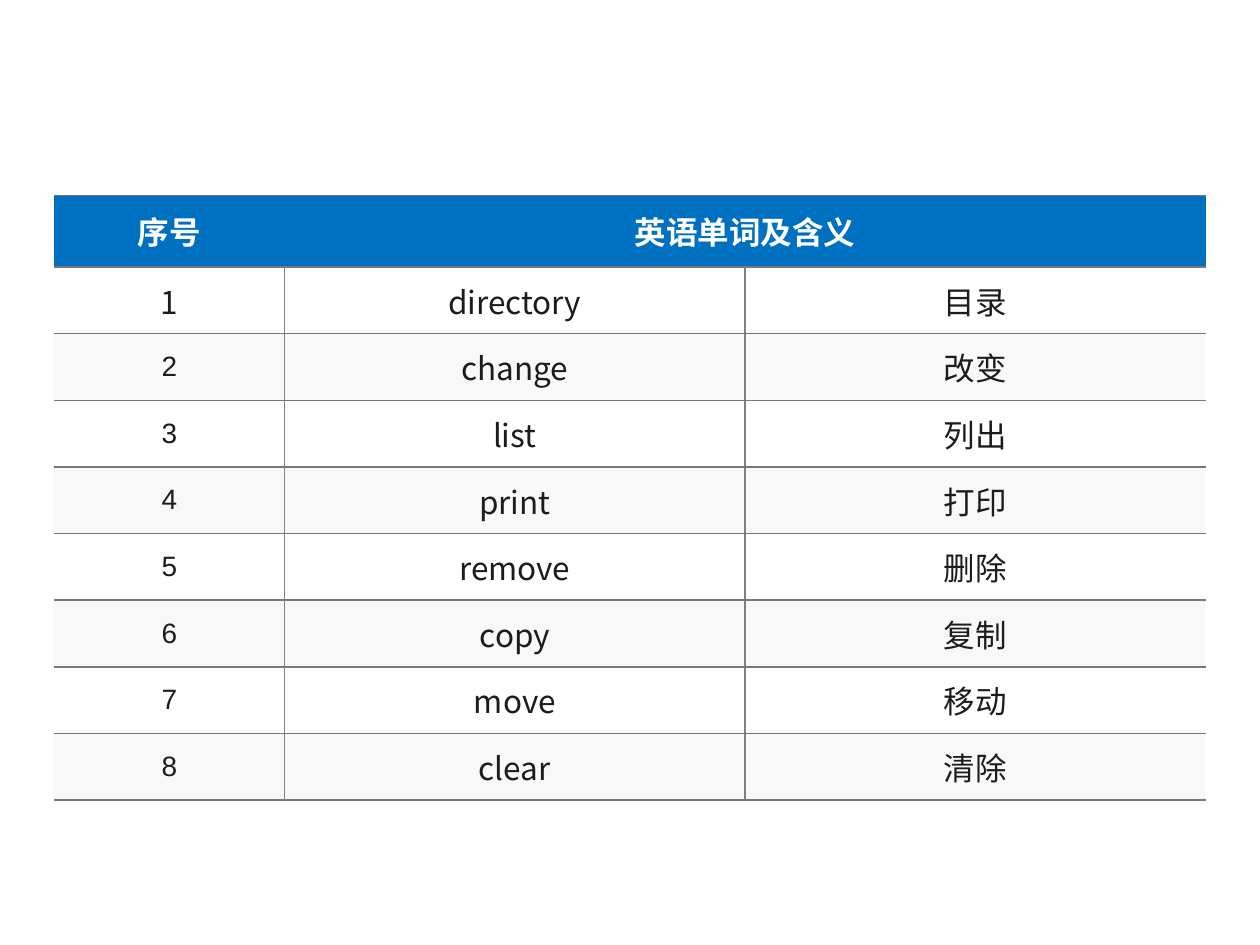
from lxml.etree import SubElement
from pptx import Presentation
from pptx.dml.color import RGBColor
from pptx.enum.text import MSO_ANCHOR, PP_ALIGN
from pptx.oxml.ns import qn
from pptx.util import Inches, Pt

HEADER_BLUE = RGBColor(0x00, 0x70, 0xC0)
WHITE = RGBColor(0xFF, 0xFF, 0xFF)
BAND_GRAY = RGBColor(0xF8, 0xF8, 0xF8)
TEXT_DARK = RGBColor(0x1C, 0x1C, 0x1C)
ROW_LINE = RGBColor(0x77, 0x77, 0x77)
COLUMN_LINE = RGBColor(0x80, 0x80, 0x80)

LATIN_FONT = "Arial"
CHINESE_FONT = "Noto Sans CJK SC"

HEADINGS = ["序号", "英语单词及含义"]
WORDS = [
    ("directory", "目录"),
    ("change", "改变"),
    ("list", "列出"),
    ("print", "打印"),
    ("remove", "删除"),
    ("copy", "复制"),
    ("move", "移动"),
    ("clear", "清除"),
]


def write_text(cell, text, font=LATIN_FONT, size=18, color=TEXT_DARK, bold=False):
    cell.vertical_anchor = MSO_ANCHOR.MIDDLE
    paragraph = cell.text_frame.paragraphs[0]
    paragraph.alignment = PP_ALIGN.CENTER
    run = paragraph.add_run()
    run.text = text
    run.font.name = font
    run.font.size = Pt(size)
    run.font.bold = bold
    run.font.color.rgb = color
    SubElement(run._r.get_or_add_rPr(), qn("a:ea"), typeface=CHINESE_FONT)


def set_borders(cell, left=None, right=None):
    """Rule the cell above and below; a side without a colour stays open."""
    properties = cell._tc.get_or_add_tcPr()
    sides = {"lnL": left, "lnR": right, "lnT": ROW_LINE, "lnB": ROW_LINE}
    for tag, color in sides.items():
        line = SubElement(properties, qn(f"a:{tag}"), w=str(Pt(1)))
        if color is None:
            SubElement(line, qn("a:noFill"))
        else:
            fill = SubElement(line, qn("a:solidFill"))
            SubElement(fill, qn("a:srgbClr"), val=str(color))


def fill_cell(cell, color):
    cell.fill.solid()
    cell.fill.fore_color.rgb = color


def add_word_table(slide, left, top, width, height):
    shape = slide.shapes.add_table(len(WORDS) + 1, 3, left, top, width, height)
    table = shape.table

    # Column widths 1 : 2 : 2, with a slightly taller header row
    for column, share in zip(table.columns, (1, 2, 2)):
        column.width = int(width * share / 5)
    header_height = Inches(0.57)
    for row in table.rows:
        row.height = int((height - header_height) / len(WORDS))
    table.rows[0].height = header_height

    # Header
    for cell in table.rows[0].cells:
        set_borders(cell)
        fill_cell(cell, HEADER_BLUE)
    table.cell(0, 1).merge(table.cell(0, 2))
    for column, heading in enumerate(HEADINGS):
        write_text(table.cell(0, column), heading, color=WHITE, bold=True)

    # Numbered words with alternating bands
    for number, (word, meaning) in enumerate(WORDS, start=1):
        number_cell, word_cell, meaning_cell = table.rows[number].cells
        set_borders(number_cell, right=COLUMN_LINE)
        set_borders(word_cell, left=COLUMN_LINE, right=COLUMN_LINE)
        set_borders(meaning_cell, left=COLUMN_LINE)
        for cell in (number_cell, word_cell, meaning_cell):
            fill_cell(cell, WHITE if number % 2 else BAND_GRAY)

        if number == 1:
            write_text(number_cell, str(number), font=CHINESE_FONT)
        else:
            write_text(number_cell, str(number), size=16)
        write_text(word_cell, word, font=CHINESE_FONT)
        word_cell.margin_left = word_cell.margin_right = Inches(0.07)
        word_cell.margin_top = word_cell.margin_bottom = 0
        write_text(meaning_cell, meaning)


def main():
    presentation = Presentation()
    presentation.slide_width = Inches(10)
    presentation.slide_height = Inches(7.5)
    slide = presentation.slides.add_slide(presentation.slide_layouts[6])
    add_word_table(slide, Inches(0.43), Inches(1.55), Inches(9.14), Inches(4.8))
    presentation.save("out.pptx")


if __name__ == "__main__":
    main()
